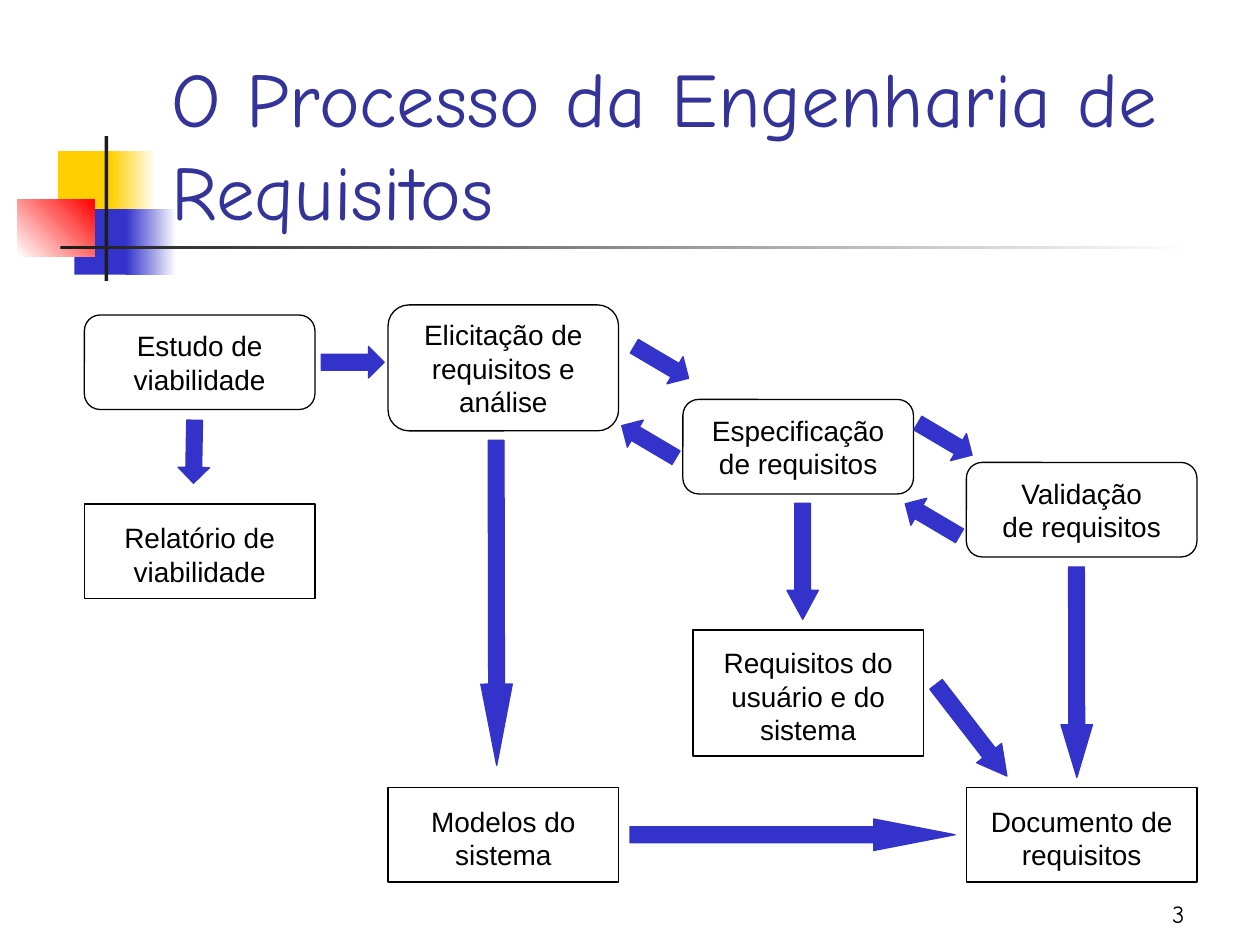
"""Build the slide on the requirements engineering process."""
import pptx
import pptx.dml.color
import pptx.enum.shapes
import pptx.enum.text
import pptx.util

Inches = pptx.util.Inches
Shape = pptx.enum.shapes.MSO_SHAPE
Align = pptx.enum.text.PP_ALIGN
Anchor = pptx.enum.text.MSO_ANCHOR

COLOURS = {
    "yellow": "FFCF01", "blue": "3333CC", "red": "FF0000", "white": "FFFFFF",
    "dark": "1C1C1C", "title": "333399", "black": "000000",
}
FRAME = {"word_wrap": True, "auto_size": pptx.enum.text.MSO_AUTO_SIZE.NONE}
BOX_WIDTH = 1.83
ARROW_HEIGHT = 0.25


def colour(name):
    """Return the named colour as an RGB value."""
    return pptx.dml.color.RGBColor.from_string(COLOURS[name])


def apply(target, values):
    """Set each attribute of the target from a dict of format values."""
    for name, value in values.items():
        setattr(target, name, value)


class SlideStyle:
    """Hold the slide and draw its elements in one style."""

    def __init__(self, slide):
        """Keep the current slide."""
        self.slide = slide

    def label(self, holder, lines, font, size, ink, align, frame):
        """Fill a holder with lines of text in one format."""
        text_frame = holder.text_frame
        apply(text_frame, {**FRAME, **frame})
        text_frame.text = "\n".join(lines)
        for paragraph in text_frame.paragraphs:
            paragraph.alignment = align
            for run in paragraph.runs:
                apply(run.font, {"name": font, "size": pptx.util.Pt(size), "bold": False})
                run.font.color.rgb = colour(ink)

    def title(self, words, left, top, width, height):
        """Place and format the title placeholder."""
        heading = self.slide.shapes.title
        apply(heading, {"left": Inches(left), "top": Inches(top),
                        "width": Inches(width), "height": Inches(height)})
        self.label(heading, [words], "Comic Neue", 44, "title", Align.LEFT,
                   {"vertical_anchor": Anchor.BOTTOM})

    def page_number(self, number, *place):
        """Add the page number."""
        holder = self.slide.shapes.add_textbox(*map(Inches, place))
        self.label(holder, [number], "Comic Neue", 14, "black", Align.RIGHT,
                   {"vertical_anchor": Anchor.BOTTOM})

    def shape(self, kind, place, fill=None, line=None):
        """Add a preset shape without shadow."""
        outline = self.slide.shapes.add_shape(kind, *map(Inches, place))
        outline.shadow.inherit = False
        if fill:
            outline.fill.solid()
            outline.fill.fore_color.rgb = colour(fill)
        else:
            outline.fill.background()
        if line:
            outline.line.color.rgb = colour(line)
            outline.line.width = pptx.util.Pt(0.75)
        else:
            outline.line.fill.background()
        return outline

    def fade(self, place, start, end, angle=0):
        """Add a rectangle that fades between two colours."""
        fill = self.shape(Shape.RECTANGLE, place).fill
        fill.gradient()
        fill.gradient_angle = angle
        for stop, name in zip(fill.gradient_stops, (start, end)):
            stop.color.rgb = colour(name)

    def box(self, kind, left, top, height, lines):
        """Add a labelled activity or document box."""
        outline = self.shape(kind, (left, top, BOX_WIDTH, height), line="black")
        margin_top = 0.1 if kind == Shape.RECTANGLE else 0.05
        self.label(outline, lines, "Arial", 16, "black", Align.CENTER,
                   {"word_wrap": False, "vertical_anchor": Anchor.MIDDLE,
                    "margin_top": Inches(margin_top)})

    def arrow(self, left, top, length, rotation, head):
        """Add a block arrow turned to its direction."""
        block = self.shape(Shape.RIGHT_ARROW, (left, top, length, ARROW_HEIGHT), "blue", "blue")
        block.adjustments[1] = head
        block.rotation = rotation


def main():
    """Build and save the slide."""
    deck = pptx.Presentation()
    apply(deck, {"slide_width": Inches(10), "slide_height": Inches(7.5)})
    page = SlideStyle(deck.slides.add_slide(deck.slide_layouts[5]))

    page.shape(Shape.RECTANGLE, (0.46, 1.2, 0.48, 0.52), "yellow")
    page.fade((0.88, 1.2, 0.36, 0.52), "yellow", "white")
    page.shape(Shape.RECTANGLE, (0.59, 1.66, 0.46, 0.52), "blue")
    page.fade((1, 1.66, 0.4, 0.52), "blue", "white")
    page.fade((0.14, 1.58, 0.61, 0.46), "white", "red", 45)
    page.shape(Shape.RECTANGLE, (0.83, 1.08, 0.03, 1.15), "dark")
    page.fade((0.48, 1.95, 9, 0.03), "dark", "white")

    page.page_number("3", 7.42, 6.92, 2.08, 0.5)
    page.title("O Processo da Engenharia de Requisitos", 1.26, 0.67, 8.52, 1.25)

    activities = [
        (0.67, 2.5, 0.75, ["Estudo de", "viabilidade"]),
        (3.08, 2.42, 1, ["Elicitação de", "requisitos e", "análise"]),
        (5.42, 3.17, 0.75, ["Especificação", "de requisitos"]),
        (7.67, 3.67, 0.75, ["Validação", "de requisitos"]),
    ]
    documents = [
        (0.67, 4, 0.75, ["Relatório de", "viabilidade"]),
        (3.08, 6.25, 0.75, ["Modelos do", "sistema"]),
        (5.5, 5, 1, ["Requisitos do", "usuário e do", "sistema"]),
        (7.67, 6.25, 0.75, ["Documento de", "requisitos"]),
    ]
    for kind, boxes in ((Shape.ROUNDED_RECTANGLE, activities), (Shape.RECTANGLE, documents)):
        for box in boxes:
            page.box(kind, *box)

    short_arrows = [
        (2.55, 2.75, 0), (1.29, 3.46, 91), (5, 2.75, 30.6),
        (4.9, 3.38, 210.6), (7.25, 3.36, 30.6), (7.15, 4, 210.6),
    ]
    for left, top, rotation in short_arrows:
        page.arrow(left, top, 0.5, rotation, 0.5)

    long_arrows = [
        (2.65, 4.66, 2.58, 89.9), (5, 6.5, 2.58, 0), (7.71, 5.21, 1.67, 89.9),
        (5.91, 4.33, 0.92, 89.9), (7.25, 5.67, 0.92, 52.3),
    ]
    for left, top, length, rotation in long_arrows:
        page.arrow(left, top, length, rotation, length)

    deck.save("out.pptx")


if __name__ == "__main__":
    main()
